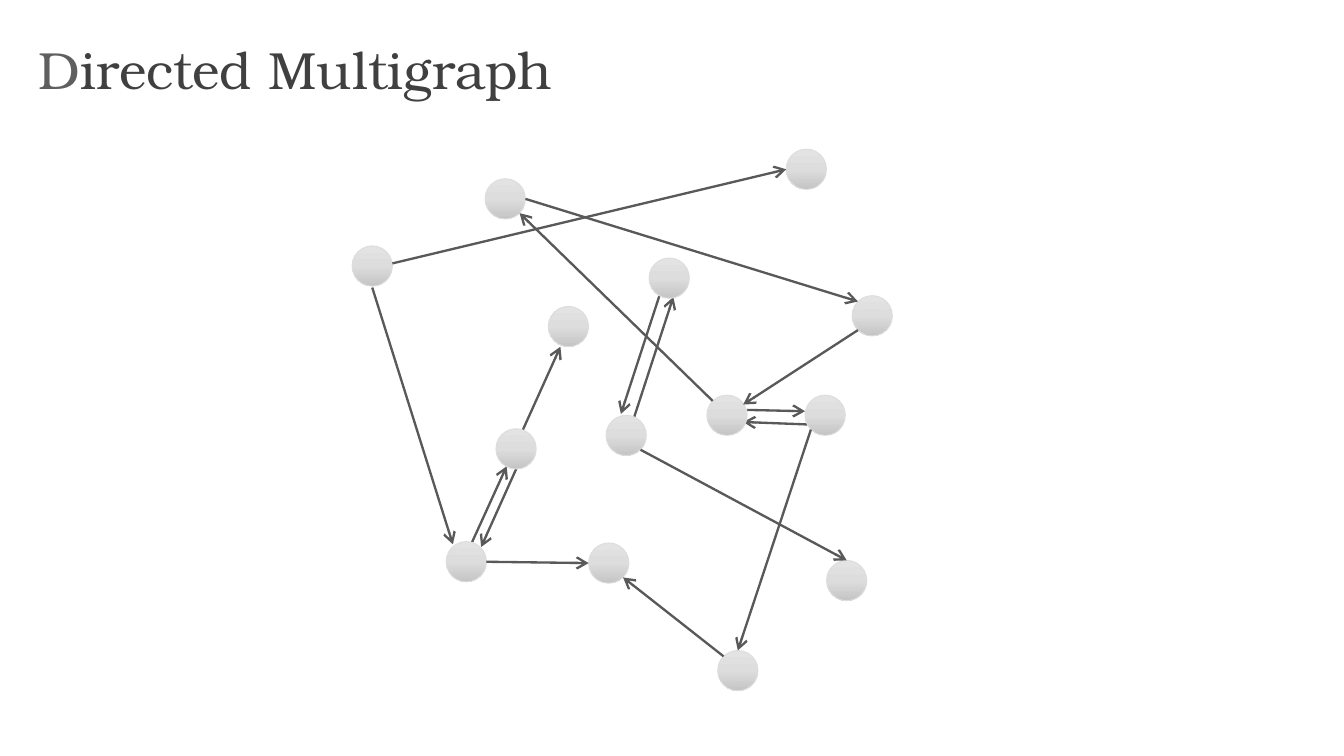
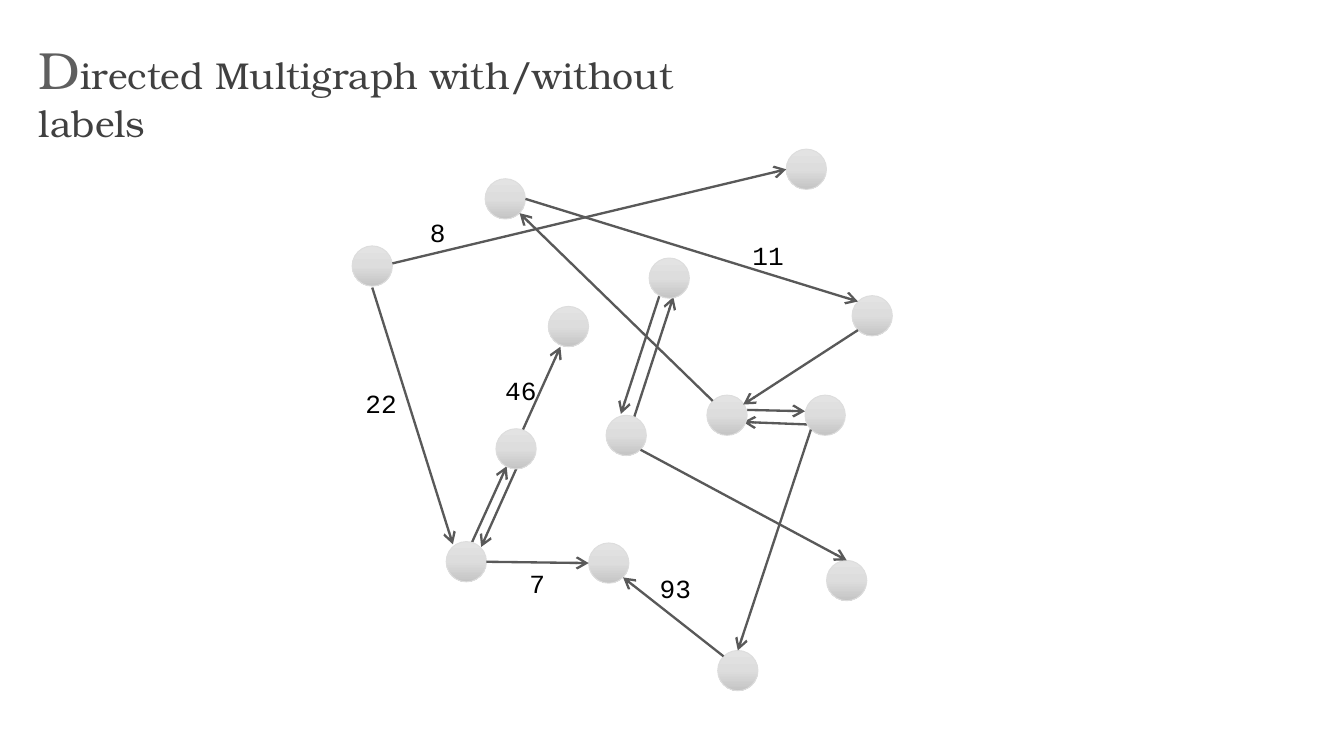
from copy import deepcopy
from dataclasses import dataclass
from lxml.etree import SubElement
from pptx import Presentation
from pptx.dml.color import RGBColor
from pptx.enum.shapes import MSO_CONNECTOR, MSO_SHAPE
from pptx.enum.text import MSO_ANCHOR, MSO_AUTO_SIZE, PP_ALIGN
from pptx.oxml.ns import qn
from pptx.util import Inches, Pt


@dataclass(frozen=True)
class Theme:
    title_font: str = "TeX Gyre Bonum"
    label_font: str = "Courier New"
    initial: str = "5F5F5F"
    title: str = "404040"
    label: str = "000000"
    edge: str = "595959"
    outline: str = "DDDDDD"
    shading: tuple = ((0, "E3E3E3"), (0.5, "DDDDDD"), (1, "C4C4C4"))
    initial_size: int = 28
    label_size: int = 14
    edge_width: float = 1.25
    outline_width: float = 0.5


THEME = Theme()
WIDTH = 10
HEIGHT = WIDTH * 9 / 16
RADIUS = 0.15
DIAGONAL = 0.71 * RADIUS
LABEL_SIZE = (0.61, 0.34)

NODES = {
    "A": (3.84, 3.34), "B": (4.23, 2.43), "C": (4.66, 3.24), "D": (6.14, 3.09),
    "E": (6.00, 1.26), "F": (4.53, 4.19), "G": (6.49, 2.35), "H": (5.49, 4.99),
    "I": (5.41, 3.09), "J": (2.77, 1.98), "K": (3.76, 1.48), "L": (4.98, 2.07),
    "M": (3.47, 4.18), "N": (6.30, 4.32),
}

PORTS = {
    "north": (0, -RADIUS), "northwest": (-DIAGONAL, -DIAGONAL),
    "west": (-RADIUS, 0), "southwest": (-DIAGONAL, DIAGONAL),
    "south": (0, RADIUS), "southeast": (DIAGONAL, DIAGONAL),
    "east": (RADIUS, 0), "northeast": (DIAGONAL, -DIAGONAL),
}
PORT_ORDER = list(PORTS)

FREE_EDGES = [
    ("D", (-0.09, 0.07), "I", (0.12, 0.05)),
    ("C", (0.06, -0.14), "L", (0.03, 0.14)),
    ("A", (0.01, 0.13), "M", (0.11, -0.11)),
    ("J", (0, 0.16), "M", (-0.10, -0.13)),
    ("M", (0.04, -0.14), "A", (-0.07, 0.13)),
    ("A", (0.05, -0.14), "B", (-0.06, 0.15)),
    ("L", (-0.07, 0.12), "C", (-0.04, -0.16)),
    ("I", (0.15, -0.04), "D", (-0.15, -0.03)),
]
JOINED_EDGES = [
    ("M", "east", "F", "west"),
    ("I", "northwest", "K", "southeast"),
    ("H", "northwest", "F", "southeast"),
    ("D", "southwest", "H", "north"),
    ("C", "southeast", "N", "north"),
    ("J", (0.15, -0.02), "E", "west"),
    ("G", "southwest", "I", (0.12, -0.08)),
    ("K", "east", "G", "northwest"),
]

LABELS = [
    ("22", 2.62, 2.83), ("8", 3.10, 1.56), ("93", 4.81, 4.21),
    ("11", 5.50, 1.73), ("7", 3.84, 4.17), ("46", 3.66, 2.74),
]
SLIDES = [
    {"title": "Directed Multigraph", "size": 28, "width": 4.47, "labels": []},
    {"title": "Directed Multigraph with/without labels", "size": 20, "width": 5.59,
     "labels": LABELS},
]


def color(value):
    """Turn a hex value into a colour."""
    return RGBColor.from_string(value)


def add_span(para, text, font, size, value):
    """Add one formatted run."""
    span = para.add_run()
    span.text = text
    span.font.name = font
    span.font.size = Pt(size)
    span.font.color.rgb = color(value)


def set_title(page, text, size, width):
    """Place the title with its large initial."""
    box = page.shapes.title
    box.left, box.top = Inches(0.19), Inches(0.23)
    box.width, box.height = Inches(width), Inches(0.53)
    frame = box.text_frame
    frame.word_wrap = True
    frame.auto_size = MSO_AUTO_SIZE.NONE
    frame.vertical_anchor = MSO_ANCHOR.TOP
    para = frame.paragraphs[0]
    para.alignment = PP_ALIGN.LEFT
    add_span(para, text[0], THEME.title_font, THEME.initial_size, THEME.initial)
    add_span(para, text[1:], THEME.title_font, size, THEME.title)


def add_node(page, center):
    """Draw a shaded circle around its center."""
    left, top = (Inches(value - RADIUS) for value in center)
    node = page.shapes.add_shape(
        MSO_SHAPE.OVAL, left, top, Inches(2 * RADIUS), Inches(2 * RADIUS))
    node.shadow.inherit = False
    node.fill.gradient()
    node.fill.gradient_angle = 270
    stops = node.element.spPr.find(".//" + qn("a:gsLst"))
    stops.insert(1, deepcopy(stops[0]))
    for stop, (position, value) in zip(node.fill.gradient_stops, THEME.shading):
        stop.position = position
        stop.color.rgb = color(value)
    node.line.color.rgb = color(THEME.outline)
    node.line.width = Pt(THEME.outline_width)
    return node


def locate(name, port):
    """Find the point where an edge meets a node."""
    offset = PORTS.get(port, port)
    return [Inches(center + shift) for center, shift in zip(NODES[name], offset)]


def add_edge(page, edge, nodes):
    """Draw an arrow and join its ends that sit on a port."""
    start, start_port, end, end_port = edge
    arrow = page.shapes.add_connector(
        MSO_CONNECTOR.STRAIGHT, *locate(start, start_port), *locate(end, end_port))
    arrow.line.color.rgb = color(THEME.edge)
    arrow.line.width = Pt(THEME.edge_width)
    properties = arrow.element.spPr
    SubElement(properties.find(qn("a:ln")), qn("a:tailEnd"), type="arrow")
    SubElement(properties, qn("a:effectLst"))
    joints = arrow.element.find(".//" + qn("p:cNvCxnSpPr"))
    for tag, name, port in (("a:stCxn", start, start_port), ("a:endCxn", end, end_port)):
        if port in PORTS:
            SubElement(joints, qn(tag), id=str(nodes[name].shape_id),
                       idx=str(PORT_ORDER.index(port)))


def add_graph(page):
    """Draw the free edges, the nodes and the joined edges."""
    for edge in FREE_EDGES:
        add_edge(page, edge, {})
    nodes = {name: add_node(page, center) for name, center in NODES.items()}
    for edge in JOINED_EDGES:
        add_edge(page, edge, nodes)


def add_label(page, text, left, top):
    """Write the weight of an edge."""
    box = page.shapes.add_textbox(
        Inches(left), Inches(top), *(Inches(value) for value in LABEL_SIZE))
    frame = box.text_frame
    frame.word_wrap = True
    frame.auto_size = MSO_AUTO_SIZE.SHAPE_TO_FIT_TEXT
    add_span(frame.paragraphs[0], text, THEME.label_font, THEME.label_size, THEME.label)


def main():
    """Build and save the deck."""
    deck = Presentation()
    deck.slide_width, deck.slide_height = Inches(WIDTH), Inches(HEIGHT)
    for content in SLIDES:
        page = deck.slides.add_slide(deck.slide_layouts.get_by_name("Title Only"))
        set_title(page, content["title"], content["size"], content["width"])
        add_graph(page)
        for label in content["labels"]:
            add_label(page, *label)
    deck.save("out.pptx")


if __name__ == "__main__":
    main()
